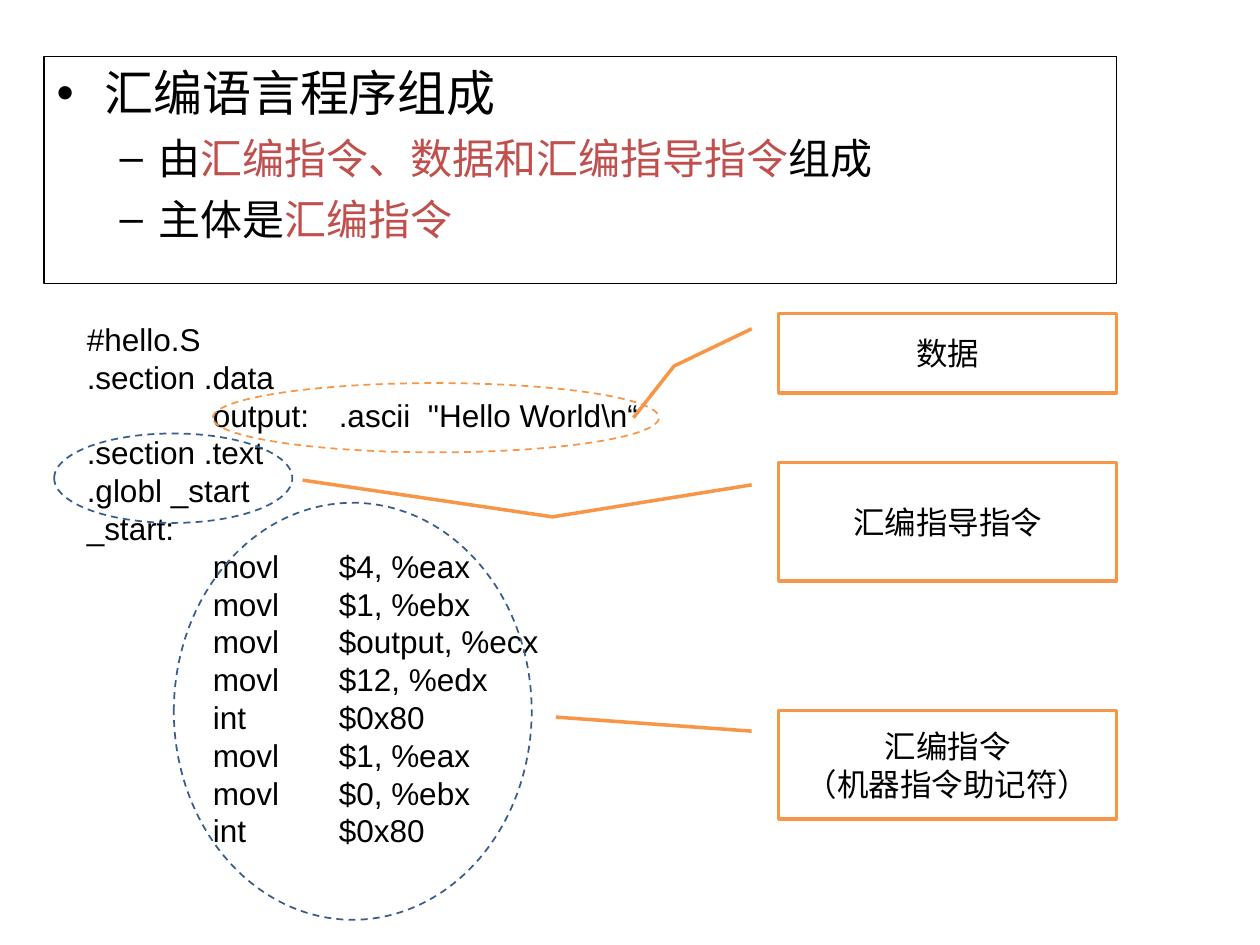
from lxml import etree
from pptx import Presentation
from pptx.dml.color import RGBColor
from pptx.enum import dml, shapes, text
from pptx.oxml.ns import qn
from pptx.util import Inches, Pt

BLACK = RGBColor(0x00, 0x00, 0x00)
WHITE = RGBColor(0xFF, 0xFF, 0xFF)
ORANGE = RGBColor(0xF7, 0x96, 0x46)
BLUE = RGBColor(0x38, 0x5D, 0x8A)
RED = RGBColor(0xC0, 0x50, 0x4D)

SHAPE = shapes.MSO_SHAPE
CALLOUT_LEFT, CALLOUT_WIDTH = 6.18, 2.68

CODE = """#hello.S
.section .data
\toutput:\t.ascii  "Hello World\\n“
.section .text
.globl _start
_start:
\tmovl\t$4, %eax
\tmovl\t$1, %ebx
\tmovl\t$output, %ecx
\tmovl\t$12, %edx
\tint\t$0x80
\tmovl\t$1, %eax
\tmovl\t$0, %ebx
\tint\t$0x80"""

# Level, then runs of text and colour
OUTLINE = [
    (0, [("汇编语言程序组成", BLACK)]),
    (1, [("由", BLACK), ("汇编指令、数据和汇编指导指令", RED), ("组成", BLACK)]),
    (1, [("主体是", BLACK), ("汇编指令", RED)]),
]
# Per level: bullet, left margin, hanging indent, size, space before
LEVELS = [("•", 0.38, 0.38, 28, 7), ("–", 0.81, 0.31, 24, 6)]

# Top, height, preset, leader points as (y, x) shares of the box, lines
CALLOUTS = [
    (2.49, 0.63, SHAPE.LINE_CALLOUT_2,
     (0.19, -0.08, 0.66, -0.31, 1.31, -0.43), ["数据"]),
    (3.67, 0.94, SHAPE.LINE_CALLOUT_2,
     (0.19, -0.08, 0.46, -0.67, 0.15, -1.41), ["汇编指导指令"]),
    (5.64, 0.86, SHAPE.LINE_CALLOUT_1,
     (0.19, -0.08, 0.06, -0.66), ["汇编指令", "（机器指令助记符）"]),
]
ELLIPSES = [
    ((1.38, 3.99, 2.84, 3.31), BLUE),
    ((0.43, 3.44, 1.89, 0.71), BLUE),
    ((1.69, 3.04, 3.54, 0.55), ORANGE),
]


def set_attrs(obj, **values):
    for name, value in values.items():
        setattr(obj, name, value)


def add_run(p, content, font, size, color=BLACK):
    r = p.add_run()
    r.text = content
    set_attrs(r.font, name=font, size=Pt(size))
    r.font.color.rgb = color


def add_lines(tf, lines, font, size, align):
    for i, line in enumerate(lines):
        p = tf.paragraphs[0] if i == 0 else tf.add_paragraph()
        p.alignment = align
        add_run(p, line, font, size)


def add_outlined(s, preset, box, color, width, fill=None):
    sp = s.shapes.add_shape(preset, *map(Inches, box))
    sp.shadow.inherit = False
    if fill is None:
        sp.fill.background()
    else:
        sp.fill.solid()
        sp.fill.fore_color.rgb = fill
    sp.line.color.rgb = color
    sp.line.width = Pt(width)
    return sp


def set_tabs(p):
    """Place a left tab stop at every inch."""
    tabs = etree.SubElement(p._p.get_or_add_pPr(), qn("a:tabLst"))
    for inch in range(8):
        etree.SubElement(tabs, qn("a:tab"), pos=str(Inches(inch)), algn="l")


def add_code(s):
    sp = s.shapes.add_textbox(*map(Inches, (0.59, 2.49, 5.12, 4.3)))
    tf = sp.text_frame
    set_attrs(tf, word_wrap=True, auto_size=text.MSO_AUTO_SIZE.SHAPE_TO_FIT_TEXT)
    add_lines(tf, CODE.split("\n"), "Arial", 18, text.PP_ALIGN.LEFT)
    for p in tf.paragraphs:
        set_tabs(p)


def add_callout(s, top, height, preset, leader, lines):
    box = (CALLOUT_LEFT, top, CALLOUT_WIDTH, height)
    sp = add_outlined(s, preset, box, ORANGE, 2, WHITE)
    for i, value in enumerate(leader):
        sp.adjustments[i] = value
    tf = sp.text_frame
    set_attrs(tf, word_wrap=True, vertical_anchor=text.MSO_ANCHOR.MIDDLE)
    add_lines(tf, lines, "Calibri", 18, text.PP_ALIGN.CENTER)


def add_ellipse(s, box, color):
    sp = add_outlined(s, SHAPE.OVAL, box, color, 1)
    sp.line.dash_style = dml.MSO_LINE.DASH


def set_bullet(p, char, margin, hanging):
    pPr = p._p.get_or_add_pPr()
    pPr.set("marL", str(Inches(margin)))
    pPr.set("indent", str(-Inches(hanging)))
    clr = etree.SubElement(pPr, qn("a:buClr"))
    etree.SubElement(clr, qn("a:srgbClr"), val=str(BLACK))
    etree.SubElement(pPr, qn("a:buFont"), typeface="Arial")
    etree.SubElement(pPr, qn("a:buChar"), char=char)


def add_outline(s):
    sp = add_outlined(s, SHAPE.RECTANGLE, (0.35, 0.45, 8.51, 1.8), BLACK, 0.75)
    tf = sp.text_frame
    set_attrs(tf, word_wrap=True, vertical_anchor=text.MSO_ANCHOR.TOP)
    for i, (level, runs) in enumerate(OUTLINE):
        char, margin, hanging, size, before = LEVELS[level]
        p = tf.paragraphs[0] if i == 0 else tf.add_paragraph()
        set_attrs(p, level=level, alignment=text.PP_ALIGN.LEFT,
                  space_before=Pt(before))
        set_bullet(p, char, margin, hanging)
        for content, color in runs:
            add_run(p, content, "Arial", size, color)


def main():
    prs = Presentation()
    set_attrs(prs, slide_width=Inches(10), slide_height=Inches(7.5))
    s = prs.slides.add_slide(prs.slide_layouts[6])

    # Assembly listing
    add_code(s)
    # Labels with leader lines
    for callout in CALLOUTS:
        add_callout(s, *callout)
    # Dashed rings around parts of the listing
    for box, color in ELLIPSES:
        add_ellipse(s, box, color)
    # Framed bullet points
    add_outline(s)

    prs.save("out.pptx")


if __name__ == "__main__":
    main()
